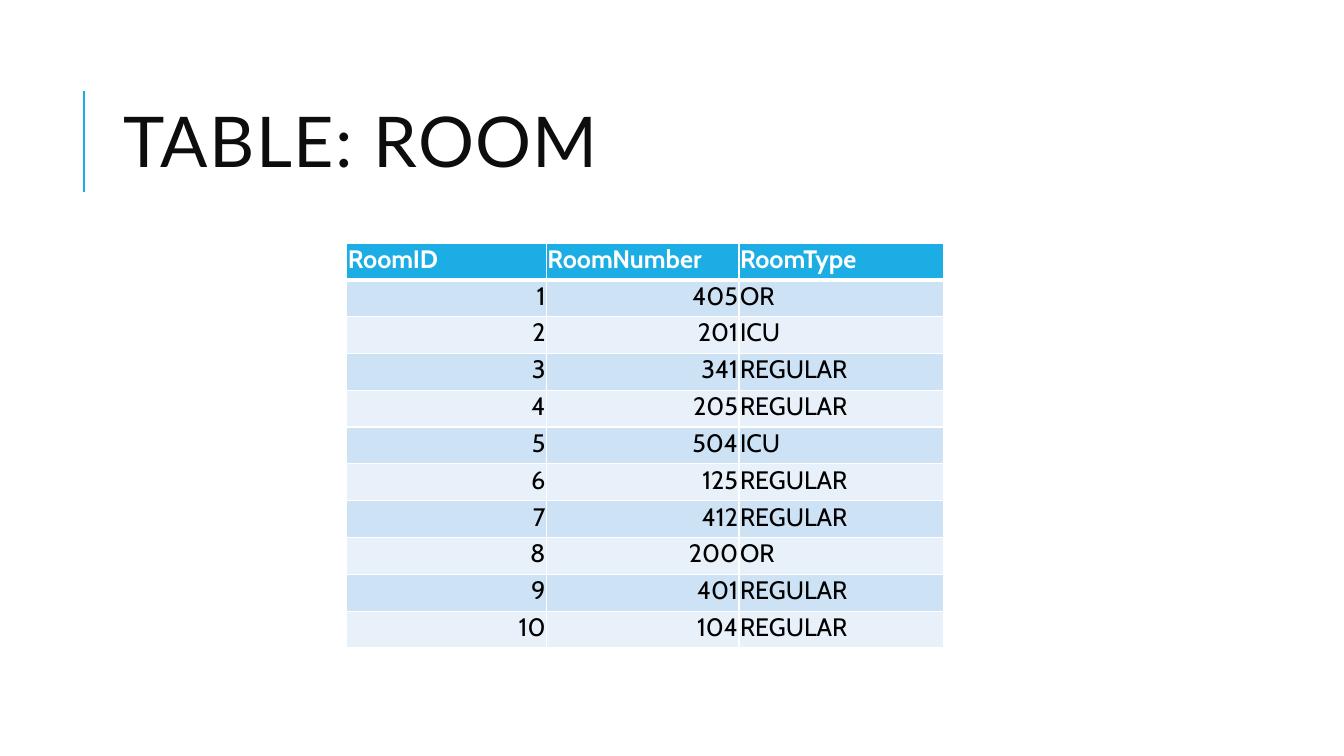
"""Build the slide that lists the rows of the ROOM table."""
from dataclasses import dataclass

from lxml.etree import SubElement
from pptx import Presentation
from pptx.dml.color import RGBColor as RGB
from pptx.enum.shapes import MSO_CONNECTOR as CONNECTOR
from pptx.enum.text import MSO_ANCHOR as ANCHOR, MSO_AUTO_SIZE as AUTO_SIZE, PP_ALIGN as ALIGN
from pptx.oxml.ns import qn
from pptx.util import Inches, Pt

TITLE = "TABLE: ROOM"
HEADERS = ("RoomID", "RoomNumber", "RoomType")
ROOMS = [
    (1, 405, "OR"),
    (2, 201, "ICU"),
    (3, 341, "REGULAR"),
    (4, 205, "REGULAR"),
    (5, 504, "ICU"),
    (6, 125, "REGULAR"),
    (7, 412, "REGULAR"),
    (8, 200, "OR"),
    (9, 401, "REGULAR"),
    (10, 104, "REGULAR"),
]
COL_WIDTHS = (1.98, 1.91, 2.03)
ROW_HEIGHT = 0.36


@dataclass(frozen=True)
class Theme:
    """Colours, fonts and type sizes."""
    accent: str = "1CADE4"
    title: str = "0D0D0D"
    text: str = "000000"
    white: str = "FFFFFF"
    bands: tuple = ("CDE3F5", "E8F1FA")
    title_font: str = "Lato"
    table_font: str = "Cabin"
    title_size: int = 50
    table_size: int = 18
    thin: int = 1
    thick: int = 3


THEME = Theme()


def style_font(font, name, size, color, bold=False):
    """Set the look of a font."""
    font.name, font.size, font.bold = name, Pt(size), bold
    font.color.rgb = RGB.from_string(color)


def add_title(slide):
    """Fill and place the title, with the accent rule to its left."""
    s = slide.shapes.title
    s.left, s.top, s.width, s.height = map(Inches, (1.12, 0.64, 10.63, 1.64))
    tf = s.text_frame
    tf.text = TITLE
    tf.auto_size, tf.vertical_anchor = AUTO_SIZE.NONE, ANCHOR.MIDDLE
    p = tf.paragraphs[0]
    p.alignment, p.line_spacing = ALIGN.LEFT, 0.8
    style_font(p.font, THEME.title_font, THEME.title_size, THEME.title)
    p.runs[0]._r.get_or_add_rPr().set("spc", "100")

    rule = slide.shapes.add_connector(
        CONNECTOR.STRAIGHT, *map(Inches, (0.83, 1.9, 0.83, 0.9)))
    rule.line.color.rgb = RGB.from_string(THEME.accent)
    rule.line.width = Pt(1.5)
    SubElement(rule._element.spPr, qn("a:effectLst"))


def add_borders(cell, row):
    """Draw white cell borders, thick between the header and the body."""
    widths = {"L": THEME.thin, "R": THEME.thin,
              "T": THEME.thick if row == 1 else THEME.thin,
              "B": THEME.thick if row == 0 else THEME.thin}
    tc_pr = cell._tc.get_or_add_tcPr()
    for side, width in widths.items():
        ln = SubElement(tc_pr, qn(f"a:ln{side}"), w=str(Pt(width)))
        fill = SubElement(ln, qn("a:solidFill"))
        SubElement(fill, qn("a:srgbClr"), val=THEME.white)


def fill_cell(cell, value, row):
    """Write and format one cell."""
    header = row == 0
    add_borders(cell, row)
    cell.fill.solid()
    color = THEME.accent if header else THEME.bands[(row - 1) % 2]
    cell.fill.fore_color.rgb = RGB.from_string(color)
    cell.margin_left = cell.margin_top = cell.margin_right = Inches(0.01)
    cell.margin_bottom = Inches(0.05)
    cell.vertical_anchor = ANCHOR.BOTTOM
    cell.text = str(value)
    p = cell.text_frame.paragraphs[0]
    p.alignment = ALIGN.RIGHT if isinstance(value, int) else ALIGN.LEFT
    style_font(p.font, THEME.table_font, THEME.table_size,
               THEME.white if header else THEME.text, header)


def add_rooms(slide):
    """Add the table of rooms."""
    rows = [HEADERS, *ROOMS]
    table = slide.shapes.add_table(
        len(rows), len(HEADERS), Inches(3.44), Inches(2.41),
        Inches(sum(COL_WIDTHS)), Inches(ROW_HEIGHT * len(rows))).table
    for column, width in zip(table.columns, COL_WIDTHS):
        column.width = Inches(width)
    for i, row in enumerate(rows):
        for j, value in enumerate(row):
            fill_cell(table.cell(i, j), value, i)


def main():
    """Create and save the presentation."""
    prs = Presentation()
    prs.slide_width, prs.slide_height = Inches(13.33), Inches(7.5)
    slide = prs.slides.add_slide(prs.slide_layouts.get_by_name("Title Only"))
    add_title(slide)
    add_rooms(slide)
    prs.save("out.pptx")


if __name__ == "__main__":
    main()
